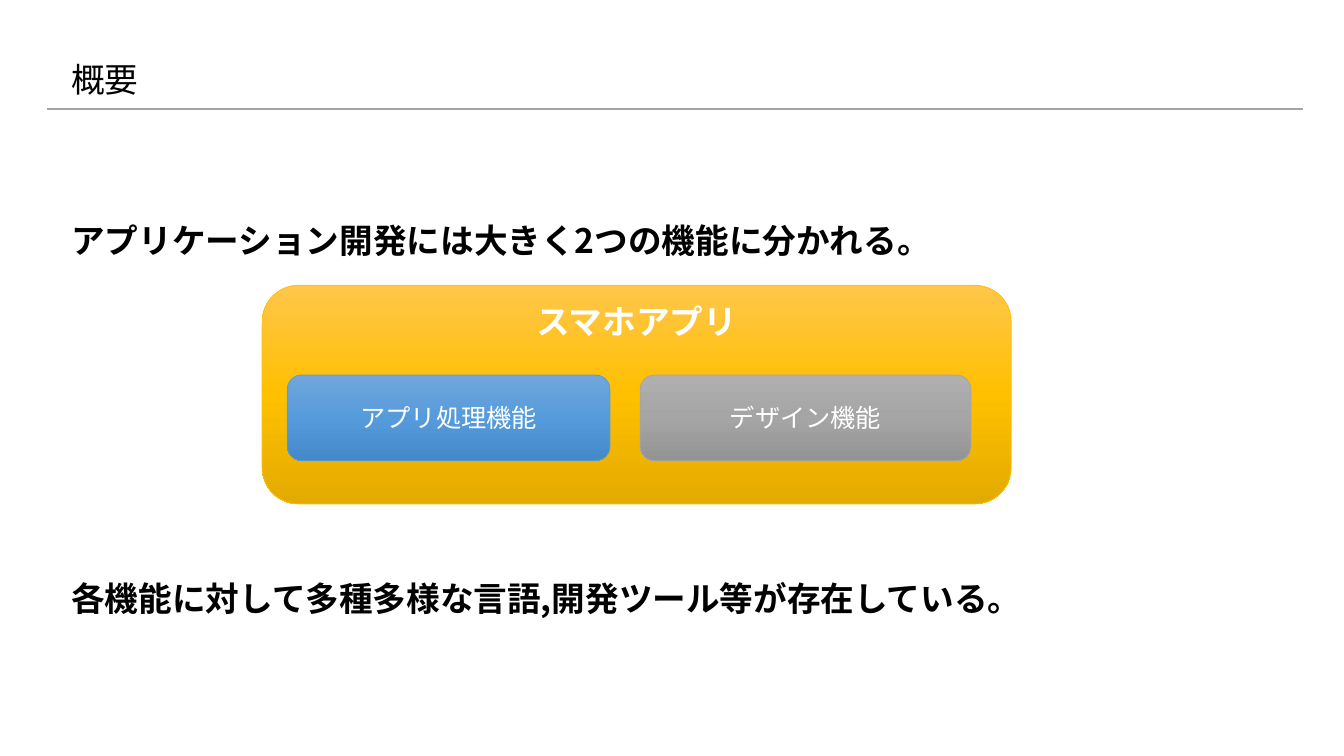
"""Build the overview slide on the two functions of a smartphone app."""
import pptx
import pptx.dml.color
import pptx.enum.lang
import pptx.enum.shapes
import pptx.enum.text
import pptx.oxml
import pptx.oxml.ns
import pptx.util
import lxml.etree

PX = 9144
FONT = "Noto Sans CJK JP"
COLORS = {
    "text": "000000",
    "light": "FFFFFF",
    "rule": "A5A5A5",
    "gold": ("FFC64B", "FFC000", "E3AB00"),
    "gold_edge": "FFC000",
    "blue": ("71A6DB", "559BDB", "448ACA"),
    "blue_edge": "5B9BD5",
    "gray": ("AFAFAF", "A5A5A5", "939393"),
    "gray_edge": "A5A5A5",
}
ANCHOR = pptx.enum.text.MSO_ANCHOR
ALIGN = pptx.enum.text.PP_ALIGN
qn = pptx.oxml.ns.qn


def write_text(shape, text, size=24, bold=False, color="text", align=ALIGN.LEFT,
               anchor=ANCHOR.TOP, wrap=True, line_spacing=1.0):
    frame = shape.text_frame
    frame.word_wrap = wrap
    frame.vertical_anchor = anchor
    paragraph = frame.paragraphs[0]
    paragraph.alignment = align
    paragraph.line_spacing = line_spacing
    run = paragraph.add_run()
    run.text = text
    run.font.size = pptx.util.Pt(size)
    run.font.bold = bold
    run.font.color.rgb = pptx.dml.color.RGBColor.from_string(COLORS[color])
    run.font.name = FONT
    run.font.language_id = pptx.enum.lang.MSO_LANGUAGE_ID.JAPANESE
    east_asian = lxml.etree.SubElement(run.font._element, qn("a:ea"))
    east_asian.set("typeface", FONT)


presentation = pptx.Presentation()
presentation.slide_width = 1333 * PX
presentation.slide_height = 750 * PX
slide = presentation.slides.add_slide(presentation.slide_layouts[6])

title_rule = slide.shapes.add_connector(
    pptx.enum.shapes.MSO_CONNECTOR.STRAIGHT, 47 * PX, 108 * PX, 1292 * PX, 108 * PX)
title_rule.line.color.rgb = pptx.dml.color.RGBColor.from_string(COLORS["rule"])
title_rule.line.width = pptx.util.Pt(1.5)
lxml.etree.SubElement(title_rule._element.spPr, qn("a:effectLst"))

title = slide.shapes.add_textbox(61 * PX, 31 * PX, 1070 * PX, 100 * PX)
write_text(title, "概要", anchor=ANCHOR.MIDDLE, line_spacing=0.9)

statements = [
    (213, 917, "アプリケーション開発には大きく2つの機能に分かれる。"),
    (568, 1012, "各機能に対して多種多様な言語,開発ツール等が存在している。"),
]
for top, width, text in statements:
    statement = slide.shapes.add_textbox(61 * PX, top * PX, width * PX, 50 * PX)
    write_text(statement, text, bold=True, wrap=False)

boxes = [
    (260, 283, 743, 217, "gold", "スマホアプリ", 24, True, ANCHOR.TOP),
    (285, 372, 320, 85, "blue", "アプリ処理機能", 18, False, ANCHOR.MIDDLE),
    (635, 372, 328, 85, "gray", "デザイン機能", 18, False, ANCHOR.MIDDLE),
]
for left, top, width, height, tone, text, size, bold, anchor in boxes:
    box = slide.shapes.add_shape(
        pptx.enum.shapes.MSO_SHAPE.ROUNDED_RECTANGLE,
        left * PX, top * PX, width * PX, height * PX)
    box.shadow.inherit = False
    box.fill.gradient()
    box.fill.gradient_angle = 270
    stops = box._element.spPr.find(qn("a:gradFill")).find(qn("a:gsLst"))
    for stop in list(stops):
        stops.remove(stop)
    for position, color in zip((0, 50000, 100000), COLORS[tone]):
        stop = lxml.etree.SubElement(stops, qn("a:gs"), pos=str(position))
        lxml.etree.SubElement(stop, qn("a:srgbClr"), val=color)
    box.line.color.rgb = pptx.dml.color.RGBColor.from_string(COLORS[tone + "_edge"])
    box.line.width = pptx.util.Pt(0.5)
    write_text(box, text, size=size, bold=bold, color="light",
               align=ALIGN.CENTER, anchor=anchor)

presentation.save("out.pptx")
